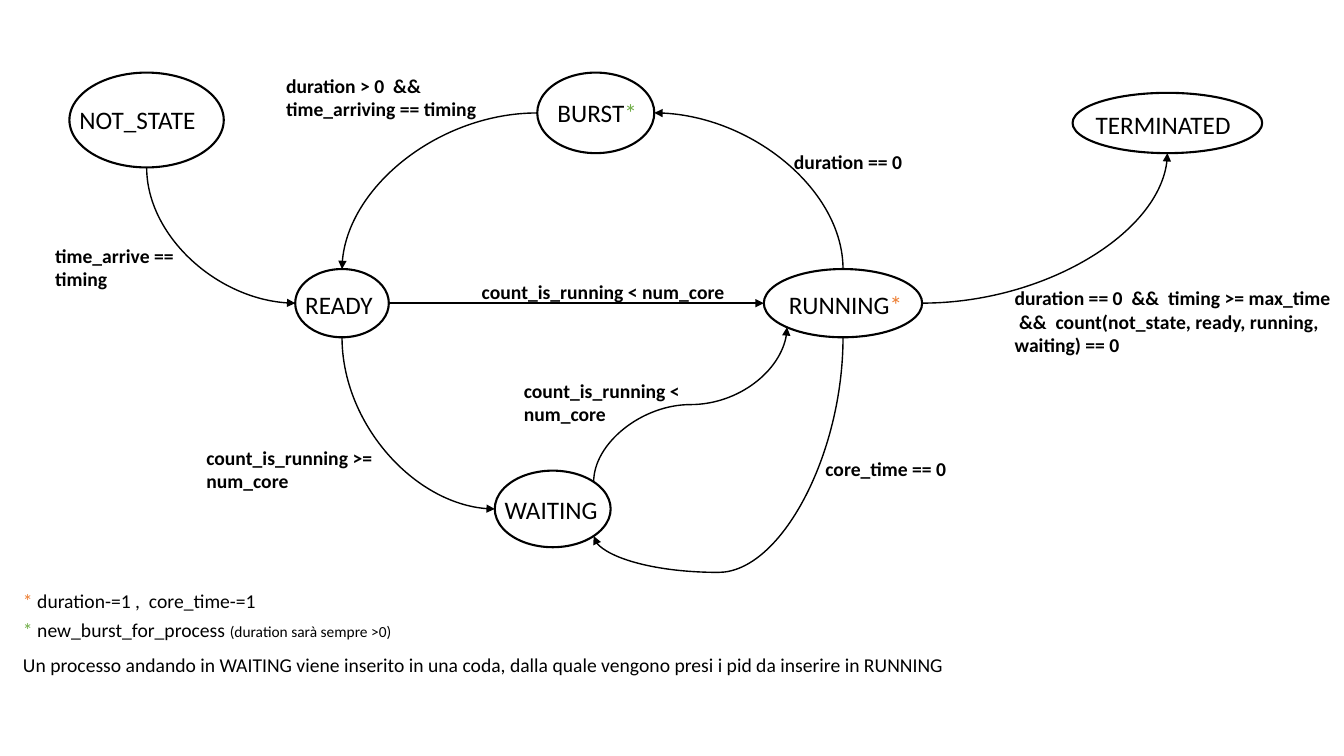
from math import cos, sin, radians
from lxml.etree import SubElement
from pptx import Presentation
from pptx.dml.color import RGBColor
from pptx.enum.shapes import MSO_CONNECTOR, MSO_SHAPE
from pptx.enum.text import MSO_AUTO_SIZE
from pptx.oxml.ns import qn
from pptx.util import Cm, Pt

COLORS = {"black": "000000", "white": "FFFFFF", "orange": "ED7D31", "green": "70AD47"}


def color(name):
    return RGBColor.from_string(COLORS[name])


def write(left, top, width, height, runs, bold=False):
    box = slide.shapes.add_textbox(Cm(left), Cm(top), Cm(width), Cm(height))
    frame = box.text_frame
    frame.word_wrap = True
    frame.auto_size = MSO_AUTO_SIZE.SHAPE_TO_FIT_TEXT
    for text, size, tint in runs:
        run = frame.paragraphs[0].add_run()
        run.text = text
        run.font.name = "Calibri"
        run.font.size = Pt(size)
        run.font.bold = bold
        run.font.color.rgb = color(tint)


deck = Presentation()
deck.slide_width, deck.slide_height = Cm(33.87), Cm(19.05)
slide = deck.slides.add_slide(deck.slide_layouts[6])

states = {
    "NOT_STATE": (1.75, 1.83, 3.89, 2.39),
    "READY": (7.44, 6.78, 2.36, 1.72),
    "RUNNING": (19.25, 6.78, 3.99, 1.72),
    "WAITING": (12.47, 11.86, 2.92, 1.93),
    "BURST": (13.54, 1.83, 2.95, 2.03),
    "TERMINATED": (27.03, 2.34, 4.78, 1.52),
}
ovals = {}
for name, place in states.items():
    oval = slide.shapes.add_shape(MSO_SHAPE.OVAL, *map(Cm, place))
    oval.shadow.inherit = False
    oval.fill.solid()
    oval.fill.fore_color.rgb = color("white")
    oval.line.color.rgb = color("black")
    oval.line.width = Pt(1.5)
    ovals[name] = oval

names = [
    ("NOT_STATE", 1.75, 2.51, 3.45, None),
    ("READY", 7.44, 7.16, 2.36, None),
    ("RUNNING", 19.63, 7.16, 3.58, "orange"),
    ("WAITING", 12.47, 12.32, 2.95, None),
    ("BURST", 13.8, 2.34, 2.92, "green"),
    ("TERMINATED", 27.36, 2.64, 3.99, None),
]
for name, left, top, width, star in names:
    runs = [(name, 18, "black")]
    if star:
        runs.append(("*", 18, star))
    write(left, top, width, 1.02, runs)

TOP, LEFT, BOTTOM, LOW_RIGHT, LOW_LEFT, RIGHT = 0, 2, 4, 5, 3, 6
HIGH_RIGHT = 7
arrows = [
    ("NOT_STATE", BOTTOM, "READY", LEFT, 270, "H", 2, None),
    ("READY", BOTTOM, "WAITING", LEFT, 270, "H", 2, None),
    ("READY", RIGHT, "RUNNING", LEFT, 0, "V", 3, None),
    ("WAITING", HIGH_RIGHT, "RUNNING", LOW_LEFT, 90, "HV", 3, 50000),
    ("RUNNING", BOTTOM, "WAITING", LOW_RIGHT, 90, "", 3, 118300),
    ("RUNNING", TOP, "BURST", RIGHT, 270, "V", 2, None),
    ("BURST", LEFT, "READY", TOP, 180, "V", 2, None),
    ("RUNNING", RIGHT, "TERMINATED", BOTTOM, 0, "V", 2, None),
]
for start, exit, end, entry, turn, flips, bend, adjust in arrows:
    points = []
    for name, site in ((start, exit), (end, entry)):
        left, top, width, height = states[name]
        angle = radians(90 + 45 * site)
        points.append((left + width / 2 * (1 + cos(angle)),
                       top + height / 2 * (1 - sin(angle))))
    (x1, y1), (x2, y2) = points
    wide, high = abs(x2 - x1), abs(y2 - y1)
    if turn in (90, 270):
        wide, high = high, wide
    left, top = (x1 + x2 - wide) / 2, (y1 + y2 - high) / 2
    arrow = slide.shapes.add_connector(
        MSO_CONNECTOR.CURVE, Cm(left), Cm(top), Cm(left + wide), Cm(top + high))
    arrow.line.color.rgb = color("black")
    arrow.line.width = Pt(1)
    SubElement(arrow.line._get_or_add_ln(), qn("a:tailEnd"), type="triangle")
    props = arrow._element.spPr
    SubElement(props, qn("a:effectLst"))
    frame = props.find(qn("a:xfrm"))
    frame.set("rot", str(turn * 60000))
    for flip in flips:
        frame.set("flip" + flip, "1")
    shape = props.find(qn("a:prstGeom"))
    shape.set("prst", f"curvedConnector{bend}")
    if adjust:
        SubElement(shape.find(qn("a:avLst")), qn("a:gd"), name="adj1", fmla=f"val {adjust}")
    links = arrow._element.nvCxnSpPr.cNvCxnSpPr
    for tag, name, site in (("a:stCxn", start, exit), ("a:endCxn", end, entry)):
        SubElement(links, qn(tag), id=str(ovals[name].shape_id), idx=str(site))

labels = [
    (1.14, 6.02, 4.32, 1.45, "time_arrive == timing"),
    (11.89, 6.93, 6.7, 0.86, "count_is_running < num_core"),
    (4.95, 11.1, 6.17, 1.45, "count_is_running >= num_core"),
    (12.95, 9.42, 5.82, 2.24, "count_is_running < num_core"),
    (19.76, 3.66, 3.45, 0.86, "duration == 0"),
    (6.96, 1.73, 5.31, 1.45, "duration > 0  &&  time_arriving == timing"),
    (25.32, 7.09, 8.55, 2.06, "duration == 0  &&  timing >= max_time \u00a0&&  "
     "count(not_state, ready, running, waiting) == 0"),
    (20.55, 11.4, 3.7, 0.86, "core_time == 0"),
]
for left, top, width, height, text in labels:
    write(left, top, width, height, [(text, 14, "black")], bold=True)

notes = [
    (14.71, 17.07, [("* ", 14, "orange"), ("duration-=1 ,  core_time-=1", 14, "black")]),
    (15.44, 15.49, [("* ", 14, "green"), ("new_burst_for_process ", 14, "black"),
                    ("(duration sarà sempre >0) ", 11, "black")]),
    (16.33, 26.16, [("Un processo andando in WAITING viene inserito in una coda, dalla quale "
                     "vengono presi i pid da inserire in RUNNING", 14, "black")]),
]
for top, width, runs in notes:
    write(0.33, top, width, 0.86, runs)

deck.save("out.pptx")
